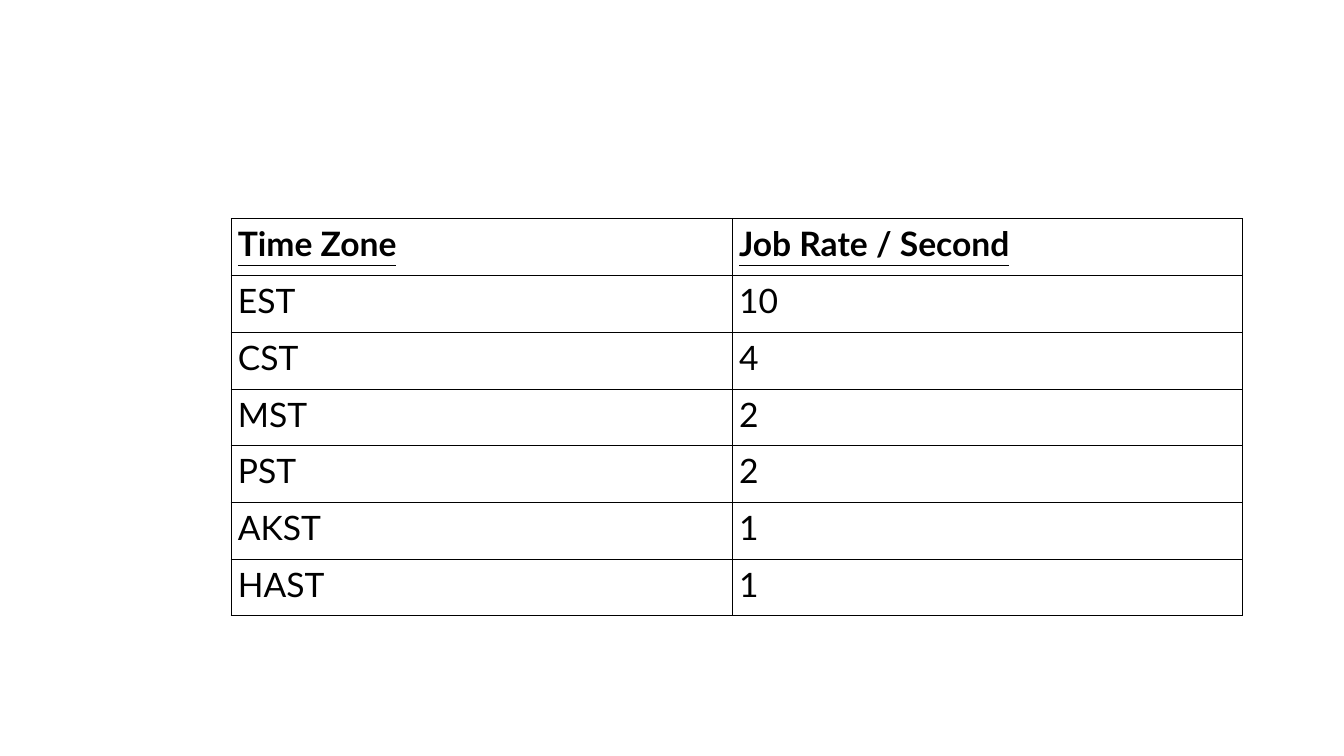
from pptx import Presentation
from pptx.dml.color import RGBColor
from pptx.oxml import parse_xml
from pptx.oxml.ns import nsdecls
from pptx.util import Inches, Pt

BLACK = RGBColor(0, 0, 0)
RATES = [
    ("Time Zone", "Job Rate / Second"),
    ("EST", "10"),
    ("CST", "4"),
    ("MST", "2"),
    ("PST", "2"),
    ("AKST", "1"),
    ("HAST", "1"),
]
COLUMN_WIDTHS = (4.97, 5.06)
TABLE_HEIGHT = 3.94


def add_borders(cell):
    properties = cell._tc.get_or_add_tcPr()
    for position, side in enumerate(("lnL", "lnR", "lnT", "lnB")):
        border = parse_xml(
            f'<a:{side} {nsdecls("a")} w="{Pt(0.5)}"><a:solidFill>'
            f'<a:srgbClr val="{BLACK}"/></a:solidFill></a:{side}>')
        properties.insert(position, border)


deck = Presentation()
deck.slide_width, deck.slide_height = Inches(13.33), Inches(7.5)
page = deck.slides.add_slide(deck.slide_layouts[6])

# Table frame and grid
frame = page.shapes.add_table(
    len(RATES), len(COLUMN_WIDTHS), Inches(2.29), Inches(2.17),
    Inches(sum(COLUMN_WIDTHS)), Inches(TABLE_HEIGHT))
table = frame.table
table.horz_banding = False
for column, width in zip(table.columns, COLUMN_WIDTHS):
    column.width = Inches(width)
for row in table.rows:
    row.height = Inches(TABLE_HEIGHT / len(RATES))

# Time zones and their job rates
for row_index, entries in enumerate(RATES):
    is_header = row_index == 0
    for column_index, entry in enumerate(entries):
        cell = table.cell(row_index, column_index)
        cell.margin_left = cell.margin_right = Inches(0.07)
        cell.margin_top = cell.margin_bottom = Inches(0.05)
        cell.fill.background()
        add_borders(cell)
        para = cell.text_frame.paragraphs[0]
        para.space_after = Pt(8)
        span = para.add_run()
        span.text = entry
        span.font.name = "Lato"
        span.font.size = Pt(24)
        span.font.color.rgb = BLACK
        span.font.bold = is_header
        span.font.underline = is_header

deck.save("out.pptx")
